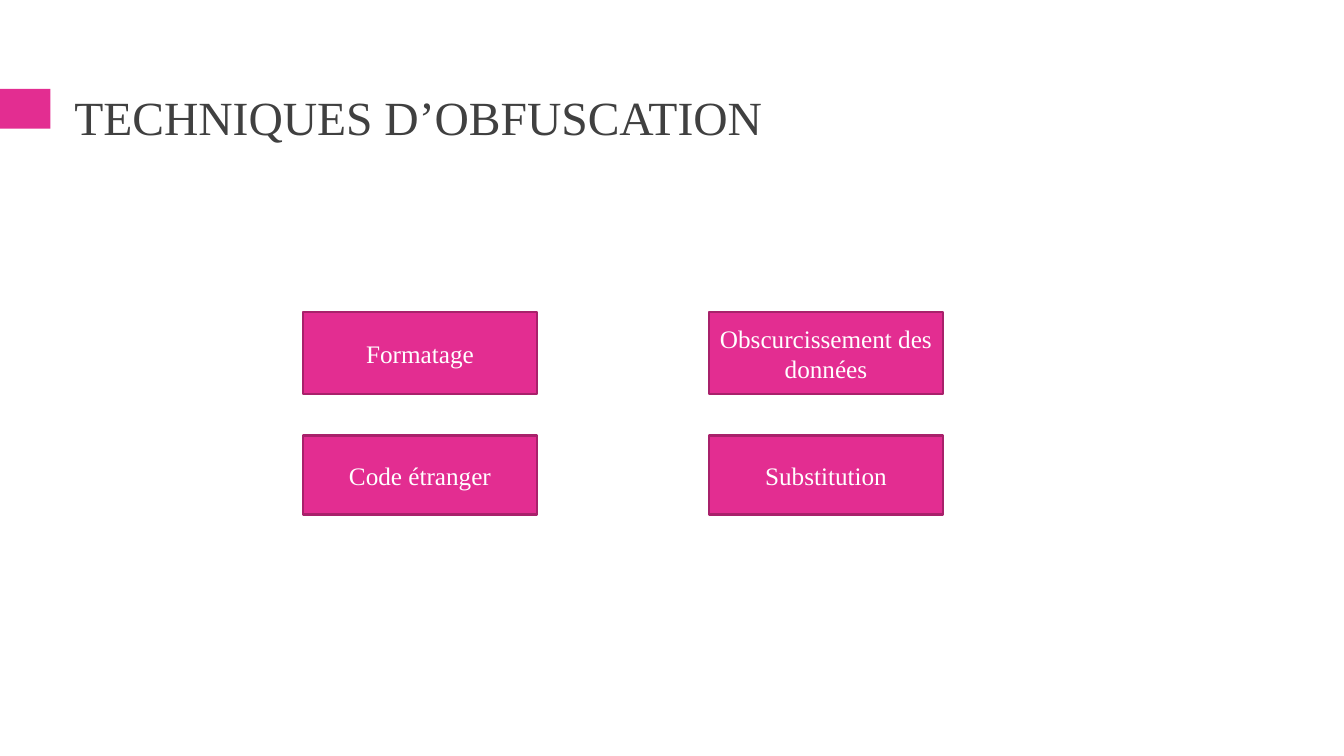
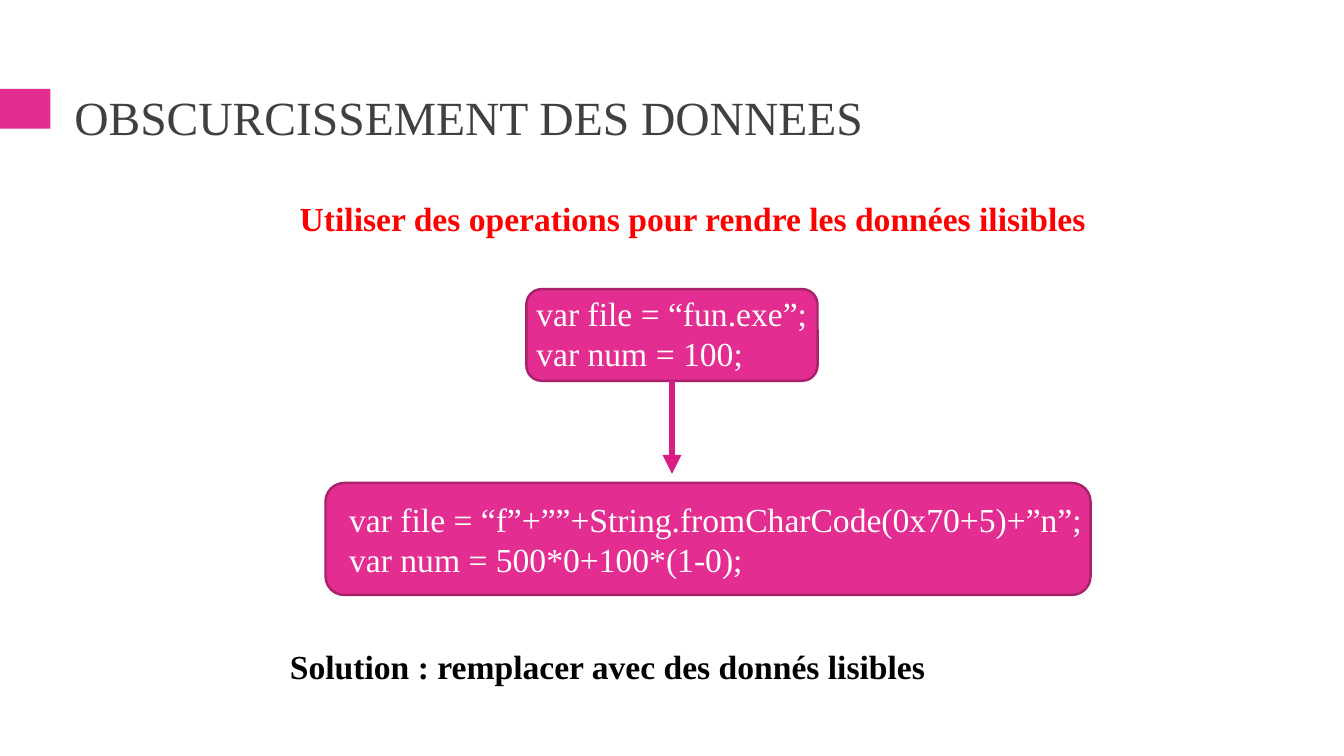
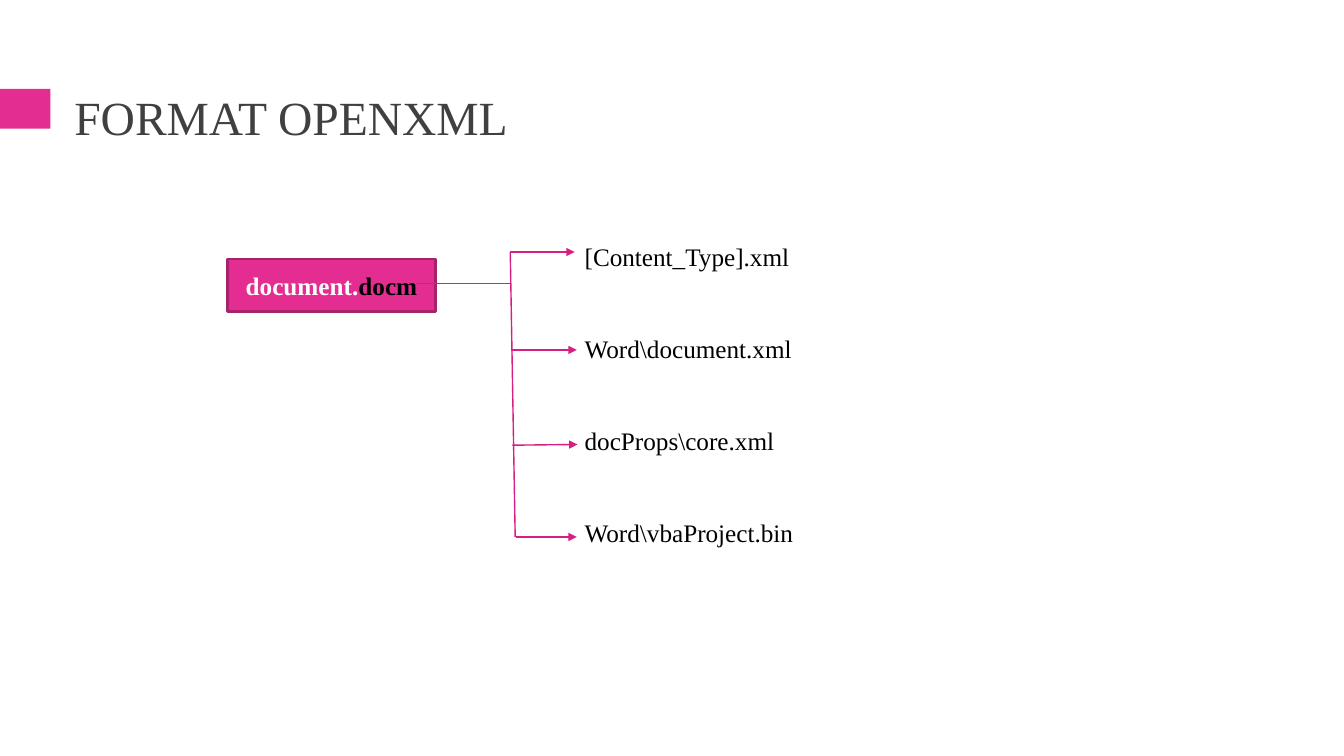
from itertools import product

from pptx import Presentation
from pptx.dml.color import RGBColor
from pptx.enum.shapes import MSO_CONNECTOR, MSO_SHAPE
from pptx.enum.text import MSO_ANCHOR as Anchor, PP_ALIGN as Align
from pptx.oxml.ns import qn
from pptx.util import Pt
from lxml.etree import SubElement

COLORS = {
    "pink": "E32D91",
    "outline": "A8216B",
    "arrow": "D81D84",
    "title": "404040",
    "red": "FF0000",
    "white": "FFFFFF",
    "black": "000000",
}
TITLE = {"size": Pt(34)}
LABEL = {"size": Pt(18)}
CODE = {"size": Pt(24)}
BOLD_LABEL = {**LABEL, "bold": True}
STATEMENT = {**CODE, "bold": True}


def add_block(slide, box, lines, font, color="white", preset=None, align=Align.LEFT,
              space_before=0, **frame_format):
    """Add a text box, or an outlined pink panel if a preset is given; return its paragraphs."""
    box = [Pt(length) for length in box]
    if preset is None:
        block = slide.shapes.add_textbox(*box)
    else:
        block = slide.shapes.add_shape(preset, *box)
        block.shadow.inherit = False
        block.fill.solid()
        block.fill.fore_color.rgb = RGBColor.from_string(COLORS["pink"])
        block.line.color.rgb = RGBColor.from_string(COLORS["outline"])
        block.line.width = Pt(1.75)
    frame = block.text_frame
    for name, value in {"word_wrap": True, **frame_format}.items():
        setattr(frame, name, value)
    for index, line in enumerate(lines):
        paragraph = frame.add_paragraph() if index else frame.paragraphs[0]
        paragraph.alignment = align
        paragraph.space_before = Pt(space_before if index else 0)
        for name, value in {"name": "Times New Roman", **font}.items():
            setattr(paragraph.font, name, value)
        paragraph.font.color.rgb = RGBColor.from_string(COLORS[color])
        paragraph.add_run().text = line
    return frame.paragraphs


def add_line(slide, start, end, width, arrow=False):
    line = slide.shapes.add_connector(
        MSO_CONNECTOR.STRAIGHT, *(Pt(length) for length in (*start, *end)))
    line.line.color.rgb = RGBColor.from_string(COLORS["arrow"])
    line.line.width = Pt(width)
    if arrow:
        SubElement(line.line._get_or_add_ln(), qn("a:tailEnd"), type="triangle")
    SubElement(line._element.spPr, qn("a:effectLst"))


deck = Presentation()
deck.slide_width, deck.slide_height = Pt(960), Pt(540)

# Shared title and side band
slides = []
for title in ("TECHNIQUES D’OBFUSCATION", "OBSCURCISSEMENT DES DONNEES", "FORMAT OPENXML"):
    slide = deck.slides.add_slide(deck.slide_layouts[6])
    band = slide.shapes.add_shape(MSO_SHAPE.RECTANGLE, 0, Pt(63.5), Pt(36), Pt(28.5))
    band.shadow.inherit = False
    band.fill.solid()
    band.fill.fore_color.rgb = RGBColor.from_string(COLORS["pink"])
    band.line.fill.background()
    add_block(slide, (46, 54, 868, 58), [title], TITLE, "title",
              vertical_anchor=Anchor.MIDDLE)
    slides.append(slide)
techniques, data_hiding, openxml = slides

# Techniques: two columns of two panels
technique_names = (
    ["Formatage"], ["Obscurcissement des", "données"],
    ["Code étranger"], ["Substitution"],
)
cells = product(((223, 58.5), (311, 56.5)), (216.5, 506.5))
for lines, ((top, height), left) in zip(technique_names, cells):
    add_block(techniques, (left, top, 167, height), lines, LABEL,
              preset=MSO_SHAPE.RECTANGLE, align=Align.CENTER,
              vertical_anchor=Anchor.MIDDLE)

# Data hiding: plain code turned into obscured code
add_block(data_hiding, (207, 138, 582, 36),
          ["Utiliser des operations pour rendre les données ilisibles"], STATEMENT, "red")
code_steps = (
    ((376, 206.5, 208, 65.5), 4, 3, ["var file = “fun.exe”;", "var num = 100;"]),
    ((232.5, 345, 546.5, 80), 13, 0,
     ["var file = “f”+””+String.fromCharCode(0x70+5)+”n”;", "var num = 500*0+100*(1-0);"]),
)
for box, left_inset, bottom_inset, lines in code_steps:
    add_block(data_hiding, box, lines, CODE, preset=MSO_SHAPE.ROUNDED_RECTANGLE,
              vertical_anchor=Anchor.MIDDLE, margin_left=Pt(left_inset),
              margin_right=0, margin_top=0, margin_bottom=Pt(bottom_inset))
add_line(data_hiding, (480, 272), (480, 338.5), 4.5, arrow=True)
add_block(data_hiding, (200, 458, 470, 36),
          ["Solution : remplacer avec des donnés lisibles"], STATEMENT, "black")

# OpenXML: a document and the parts inside it
document_name = add_block(openxml, (162.5, 185, 148.5, 37.5), ["document."], BOLD_LABEL,
                          preset=MSO_SHAPE.RECTANGLE, align=Align.CENTER,
                          vertical_anchor=Anchor.MIDDLE)[0]
extension = document_name.add_run()
extension.text = "docm"
extension.font.color.rgb = RGBColor.from_string(COLORS["black"])

parts = ("[Content_Type].xml", r"Word\document.xml", r"docProps\core.xml",
         r"Word\vbaProject.bin")
add_block(openxml, (410.5, 169, 165, 225), parts, LABEL, "black", space_before=44)

add_line(openxml, (364.5, 180), (368, 383.5), 1)
add_line(openxml, (297.5, 202.5), (365, 202.5), 1)
branches = (
    ((364, 180), (410.5, 180)),
    ((365, 250), (412, 250)),
    ((366, 318), (412.5, 317.5)),
    ((368.5, 383.5), (412, 383.5)),
)
for start, end in branches:
    add_line(openxml, start, end, 1, arrow=True)

deck.save("out.pptx")
